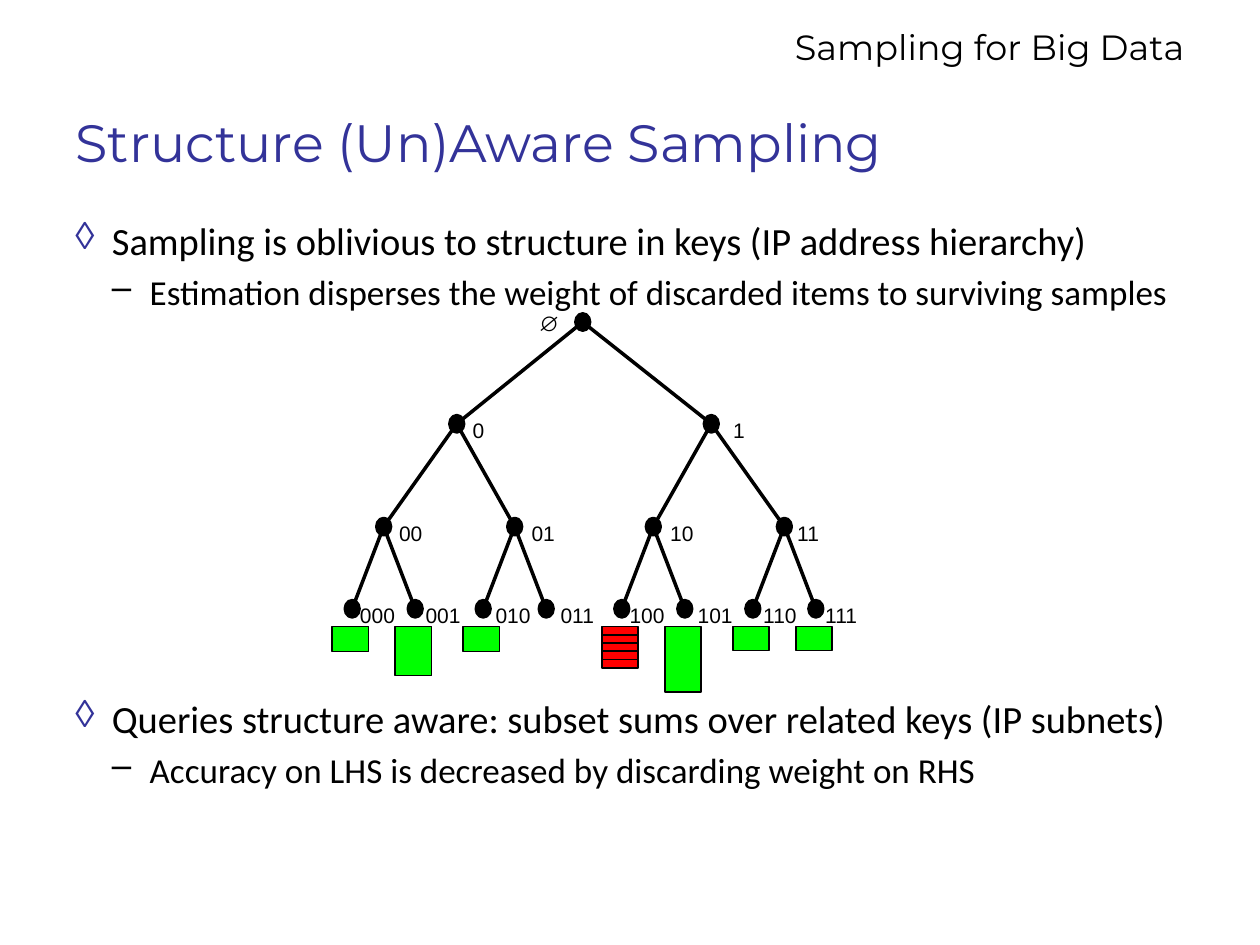
from lxml.etree import SubElement
from pptx import Presentation
from pptx.dml.color import RGBColor
from pptx.enum.shapes import MSO_CONNECTOR, MSO_SHAPE
from pptx.enum.text import MSO_ANCHOR, MSO_AUTO_SIZE, PP_ALIGN
from pptx.oxml.ns import qn
from pptx.util import Inches, Pt

WIDTH, HEIGHT = 10, 7.5
CELL = 0.04
BLACK, BLUE, GREEN, RED = "000000", "333399", "00FF00", "FF0000"
LEVEL_ROWS = [3.9, 24.1, 44.5, 60.8]
NODE_COLUMNS = {"": 50, "0": 25, "1": 75.5, "00": 10.5, "01": 36.5, "10": 64, "11": 90}
LEAF_REACH = 6.25
LABEL_SHIFTS = {
    "": -11.2, "0": 0.7, "1": 1.9, "00": 0.6, "01": 0.9, "10": 0.9, "11": 0.1,
    "000": -0.9, "001": -0.4, "010": 0, "011": 0.4,
    "100": -0.9, "101": 0.1, "110": -0.4, "111": -0.6,
}
BAR_ROWS = {"000": 5, "001": 9.75, "010": 5, "101": 13, "110": 4.8, "111": 4.8}
STRIPED_LEAF, STRIPES, STRIPE_ROWS = "100", 5, 1.64


def colour(value):
    """Turn a hex string into a colour."""
    return RGBColor.from_string(value)


def page_box(left, top, width, height):
    """Turn shares of the page into a box in inches."""
    return left * WIDTH, top * HEIGHT, width * WIDTH, height * HEIGHT


def place(shape, box):
    """Move a shape to a box in inches."""
    shape.left, shape.top, shape.width, shape.height = map(Inches, box)


def write(para, text, font="Arial", size=12, ink=BLACK, align=PP_ALIGN.LEFT, before=0):
    """Put one formatted span of text in a paragraph."""
    para.alignment = align
    para.space_before = Pt(before)
    span = para.add_run()
    span.text = text
    span.font.name = font
    span.font.size = Pt(size)
    span.font.color.rgb = colour(ink)


def text_box(page, box, wrap=True):
    """Add an empty text box and return its frame."""
    shape = page.shapes.add_textbox(*map(Inches, box))
    shape.text_frame.word_wrap = wrap
    return shape.text_frame


def set_bullet(para, mark, margin, indent, ink):
    """Give a paragraph a hanging bullet."""
    props = para._p.get_or_add_pPr()
    props.set("marL", str(Inches(margin)))
    props.set("indent", str(Inches(-indent)))
    SubElement(SubElement(props, qn("a:buClr")), qn("a:srgbClr"), val=ink)
    SubElement(props, qn("a:buChar"), char=mark)


def add_figure(page, kind, box, fill, weight):
    """Add a filled preset shape with a black outline."""
    shape = page.shapes.add_shape(kind, *map(Inches, box))
    shape.shadow.inherit = False
    shape.fill.solid()
    shape.fill.fore_color.rgb = colour(fill)
    shape.line.color.rgb = colour(BLACK)
    shape.line.width = Pt(weight)


def add_edge(page, start, end):
    """Join two points with a plain black line."""
    edge = page.shapes.add_connector(MSO_CONNECTOR.STRAIGHT, *map(Inches, (*start, *end)))
    edge.line.color.rgb = colour(BLACK)
    edge.line.width = Pt(2)
    SubElement(edge._element.spPr, qn("a:effectLst"))


def add_header(page, box):
    """Write the running header at the right."""
    frame = text_box(page, box, wrap=False)
    write(frame.paragraphs[0], "Sampling for Big Data", font="Montserrat", size=20, align=PP_ALIGN.RIGHT)


def add_title(page, box):
    """Place and format the title placeholder."""
    title = page.shapes.title
    place(title, box)
    frame = title.text_frame
    frame.auto_size = MSO_AUTO_SIZE.NONE
    frame.vertical_anchor = MSO_ANCHOR.MIDDLE
    write(frame.paragraphs[0], "Structure (Un)Aware Sampling", font="Montserrat", size=30, ink=BLUE)


def add_points(page, box):
    """Write the bulleted points, leaving room for the tree between them."""
    points = [
        (0, 0, "Sampling is oblivious to structure in keys (IP address hierarchy)"),
        (1, 4, "Estimation disperses the weight of discarded items to surviving samples"),
        (0, 219, "Queries structure aware: subset sums over related keys (IP subnets)"),
        (1, 4, "Accuracy on LHS is decreased by discarding weight on RHS"),
    ]
    styles = [("◊", 0.29, 0.29, BLUE), ("–", 0.59, 0.3, BLACK)]
    frame = text_box(page, box)
    for index, (level, before, text) in enumerate(points):
        para = frame.add_paragraph() if index else frame.paragraphs[0]
        para.level = level
        write(para, text, font="Calibri", size=22 - 2 * level, before=before)
        set_bullet(para, *styles[level])


def add_tree(page, box):
    """Draw the binary key tree with labels and weight bars under its leaves."""
    left, top = box[:2]
    columns = dict(NODE_COLUMNS)
    for parent in ("00", "01", "10", "11"):
        columns[parent + "0"] = columns[parent] - LEAF_REACH
        columns[parent + "1"] = columns[parent] + LEAF_REACH
    centres = {
        key: (left + column * CELL, top + LEVEL_ROWS[len(key)] * CELL)
        for key, column in columns.items()
    }
    for key, (x, y) in centres.items():
        rise = 0.1 if key else 0.14
        frame = text_box(page, (x + LABEL_SHIFTS[key] * CELL, y - rise, 0.83, 0.3))
        write(frame.paragraphs[0], key or "∅")

    bars = [(key, 0, rows, GREEN) for key, rows in BAR_ROWS.items()]
    bars += [(STRIPED_LEAF, index * STRIPE_ROWS, STRIPE_ROWS, RED) for index in range(STRIPES)]
    for key, offset, rows, fill in bars:
        x, y = centres[key]
        bar = (x - 0.16, y + 0.14 + offset * CELL, 0.29, rows * CELL)
        add_figure(page, MSO_SHAPE.RECTANGLE, bar, fill, 1)

    for key, (x, y) in centres.items():
        add_figure(page, MSO_SHAPE.OVAL, (x - 0.055, y - 0.065, 0.11, 0.13), BLACK, 2)
        if key:
            add_edge(page, centres[key[:-1]], (x, y))


def main():
    """Build the deck and save it."""
    deck = Presentation()
    deck.slide_width, deck.slide_height = Inches(WIDTH), Inches(HEIGHT)
    page = deck.slides.add_slide(deck.slide_layouts[5])
    add_header(page, page_box(0.6, 0.02, 0.35, 0.1))
    add_title(page, page_box(0.05, 0.09, 0.9, 0.12))
    add_points(page, page_box(0.05, 0.223, 0.9, 0.66))
    add_tree(page, page_box(0.2625, 0.32, 0.4, 0.42))
    deck.save("out.pptx")


if __name__ == "__main__":
    main()
